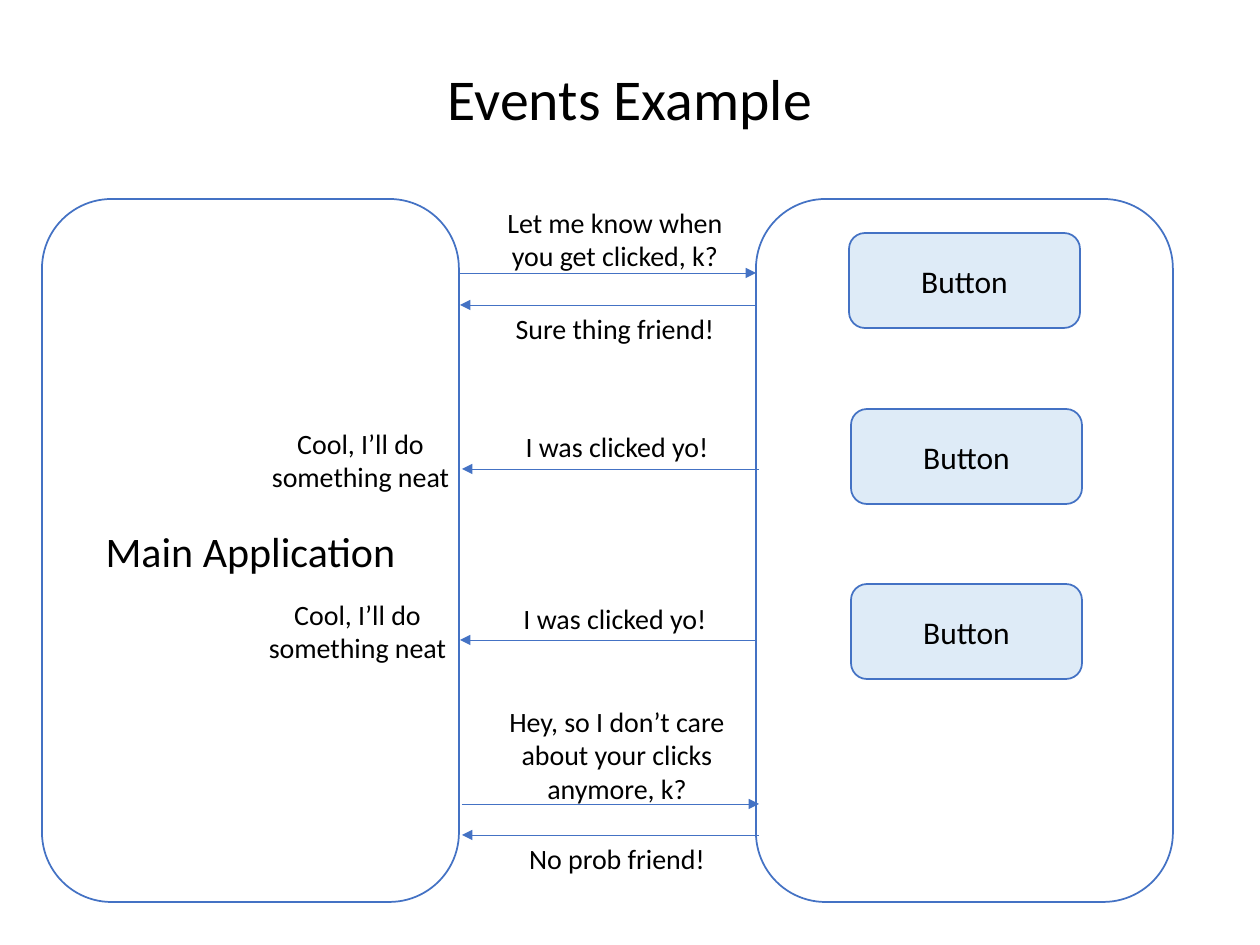
"""Builds the Events Example slide: messages between an application and its buttons."""
from lxml import etree
from pptx import Presentation
from pptx.dml.color import RGBColor
from pptx.enum import shapes, text
from pptx.oxml.ns import qn
from pptx.util import Pt

SCALE = 914400 / 126
BLUE, PALE, BLACK = "4472C4", "DEEBF7", "000000"
PANELS = [(756, ""), (42, "Main Application")]
BUTTONS = [(849, 233), (851, 409), (851, 584)]
ARROWS = [(460, 756, 273), (756, 460, 305), (759, 462, 469),
          (756, 460, 640), (462, 759, 804), (759, 462, 835)]
NOTES = [
    ("Let me know when you get clicked, k?", 494, 199, 242, 81),
    ("Sure thing friend!", 494, 305, 242, 47),
    ("I was clicked yo!", 496, 423, 242, 47),
    ("I was clicked yo!", 494, 595, 242, 47),
    ("Cool, I’ll do something neat", 257, 420, 207, 81),
    ("Cool, I’ll do something neat", 254, 591, 207, 81),
    ("Hey, so I don’t care about your clicks anymore, k?", 496, 698, 242, 105),
    ("No prob friend!", 496, 835, 242, 47),
]


def px(*vals):
    return [round(v * SCALE) for v in vals]


def tint(hue):
    return RGBColor.from_string(hue)


def write(shape, words, size, anchor=text.MSO_ANCHOR.MIDDLE, space=None):
    frame = shape.text_frame
    frame.word_wrap, frame.vertical_anchor = True, anchor
    para = frame.paragraphs[0]
    para.text = words
    para.alignment, para.line_spacing = text.PP_ALIGN.CENTER, space
    for key, val in {"name": "Calibri", "size": Pt(size)}.items():
        setattr(para.font, key, val)
    para.font.color.rgb = tint(BLACK)


def box(slide, words, size, *area, fill=None):
    shape = slide.shapes.add_shape(shapes.MSO_SHAPE.ROUNDED_RECTANGLE, *px(*area))
    shape.shadow.inherit = False
    if fill:
        shape.fill.solid()
        shape.fill.fore_color.rgb = tint(fill)
    else:
        shape.fill.background()
    shape.line.color.rgb, shape.line.width = tint(BLUE), Pt(1)
    if words:
        write(shape, words, size)


def arrow(slide, start, end, y):
    line = slide.shapes.add_connector(shapes.MSO_CONNECTOR.STRAIGHT, *px(start, y, end, y))
    line.line.color.rgb, line.line.width = tint(BLUE), Pt(0.5)
    etree.SubElement(line.line._get_or_add_ln(), qn("a:tailEnd"), type="triangle")
    etree.SubElement(line._element.spPr, qn("a:effectLst"))


def main():
    deck = Presentation()
    deck.slide_width, deck.slide_height = px(1260, 945)
    slide = deck.slides.add_slide(deck.slide_layouts[6])
    title = slide.shapes.add_textbox(*px(87, 10, 1086, 183))
    write(title, "Events Example", 33, space=0.9)
    for x, words in PANELS:
        box(slide, words, 24, x, 199, 417, 703)
    for x, y in BUTTONS:
        box(slide, "Button", 18, x, y, 231, 95, fill=PALE)
    for ends in ARROWS:
        arrow(slide, *ends)
    for words, *area in NOTES:
        note = slide.shapes.add_textbox(*px(*area))
        write(note, words, 16, text.MSO_ANCHOR.TOP)
    deck.save("out.pptx")


if __name__ == "__main__":
    main()
